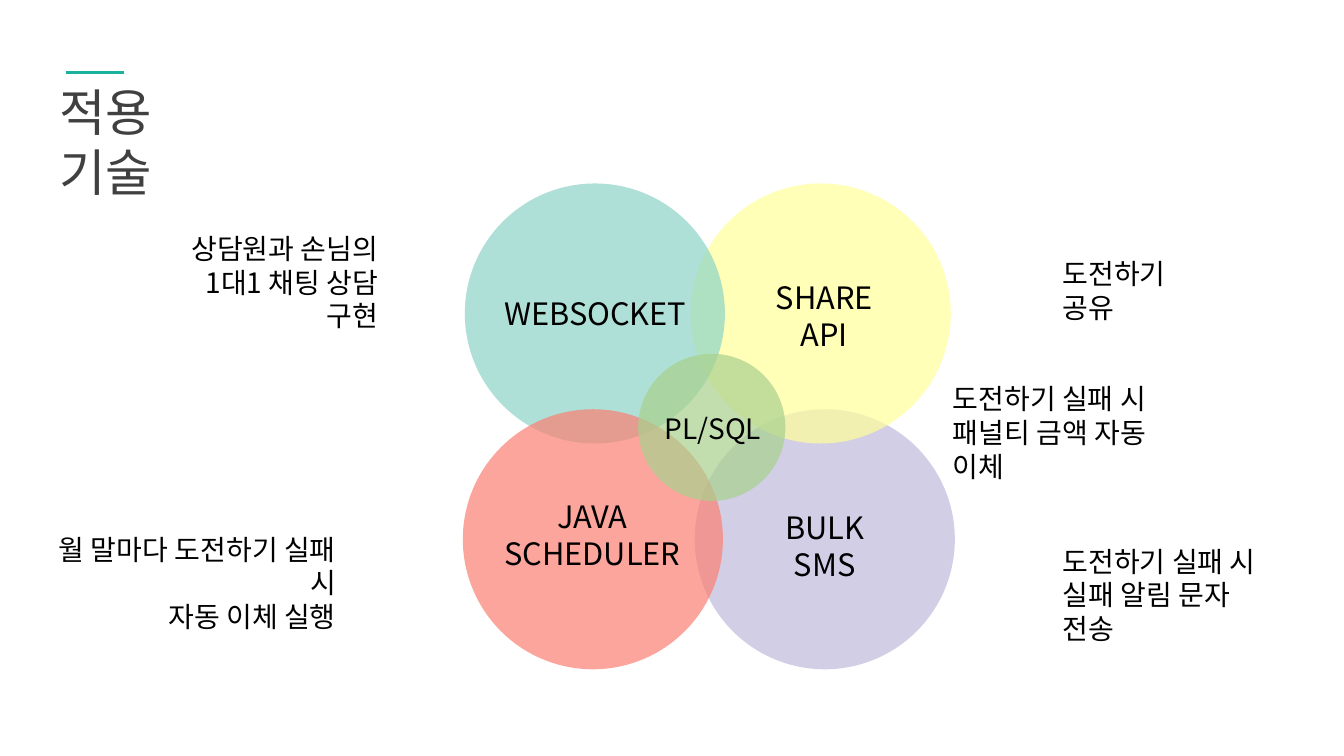
"""Build the slide of applied technologies as overlapping circles with notes."""
from lxml.etree import SubElement
from pptx import Presentation
from pptx.dml.color import RGBColor
from pptx.enum.shapes import MSO_CONNECTOR, MSO_SHAPE
from pptx.enum.text import MSO_ANCHOR, MSO_AUTO_SIZE, PP_ALIGN as AL
from pptx.oxml.ns import qn
from pptx.util import Inches, Pt

FONT = "Noto Sans CJK KR"
COLORS = {"title": "404040", "text": "000000", "accent": "1AB29D",
          "purple": "BEBADA", "yellow": "FFFF9B", "teal": "8DD3C7",
          "red": "FB8072", "green": "A9D18E"}
BIG, SMALL, OPACITY = 2.58, 1.46, 70

TITLE = ("적용 기술", (0.49, 0.75, 2.11, 0.71))
CIRCLES = [
    ("purple", 6.89, 4.06, BIG),
    ("yellow", 6.85, 1.82, BIG),
    ("teal", 4.61, 1.82, BIG),
    ("red", 4.59, 4.06, BIG),
    ("green", 6.33, 3.51, SMALL),
]
LABELS = [
    ("WEBSOCKET", (4.8, 2.87, 2.21, 0.47), 22),
    ("SHARE\nAPI", (7.49, 2.72, 1.37, 0.84), 22),
    ("BULK\nSMS", (7.65, 5, 1.06, 0.84), 22),
    ("JAVA\nSCHEDULER", (4.81, 4.89, 2.13, 0.84), 22),
    ("PL/SQL", (6.43, 4.03, 1.28, 0.44), 20),
]
NOTES = [
    ("도전하기 실패 시\n패널티 금액 자동 이체", (9.35, 3.74, 2.65, 0.77), AL.LEFT),
    ("도전하기 공유", (10.44, 2.5, 1.76, 0.44), AL.LEFT),
    ("도전하기 실패 시\n실패 알림 문자 전송", (10.44, 5.35, 2.41, 0.77), AL.LEFT),
    ("상담원과 손님의\n1대1 채팅 상담 구현", (1.37, 2.25, 2.48, 0.77), AL.RIGHT),
    ("월 말마다 도전하기 실패 시\n자동 이체 실행", (0.21, 5.23, 3.22, 0.77), AL.RIGHT),
]


def rgb(name):
    """Return the named colour."""
    return RGBColor.from_string(COLORS[name])


def write(sp, text, box, size=20, color="text", align=AL.LEFT):
    """Place a text shape and fill it with formatted paragraphs."""
    sp.left, sp.top, sp.width, sp.height = map(Inches, box)
    tf = sp.text_frame
    tf.word_wrap = True
    tf.auto_size = MSO_AUTO_SIZE.SHAPE_TO_FIT_TEXT
    tf.vertical_anchor = MSO_ANCHOR.TOP
    tf.text = text
    for p in tf.paragraphs:
        p.alignment = align
        for r in p.runs:
            r.font.size = Pt(size)
            r.font.name = FONT
            r.font.color.rgb = rgb(color)
            SubElement(r.font._element, qn("a:ea"), typeface=FONT)


def add_circle(s, color, left, top, size):
    """Add a translucent circle."""
    sp = s.shapes.add_shape(MSO_SHAPE.OVAL, *map(Inches, (left, top, size, size)))
    sp.shadow.inherit = False
    sp.fill.solid()
    sp.fill.fore_color.rgb = rgb(color)
    sp.line.fill.background()
    clr = sp._element.spPr.find(qn("a:solidFill"))[0]
    SubElement(clr, qn("a:alpha"), val=str(OPACITY * 1000))


def main():
    """Build and save the slide."""
    prs = Presentation()
    prs.slide_width, prs.slide_height = Inches(13.33), Inches(7.5)
    s = prs.slides.add_slide(prs.slide_layouts[5])
    write(s.shapes.title, *TITLE, size=36, color="title")

    rule = s.shapes.add_connector(
        MSO_CONNECTOR.STRAIGHT, *map(Inches, (1.23, 0.72, 0.65, 0.72)))
    rule.line.color.rgb = rgb("accent")
    rule.line.width = Pt(2)
    SubElement(rule._element.spPr, qn("a:effectLst"))

    for circle in CIRCLES:
        add_circle(s, *circle)
    for text, box, size in LABELS:
        write(s.shapes.add_textbox(0, 0, 0, 0), text, box, size, align=AL.CENTER)
    for text, box, align in NOTES:
        write(s.shapes.add_textbox(0, 0, 0, 0), text, box, align=align)
    prs.save("out.pptx")


if __name__ == "__main__":
    main()
